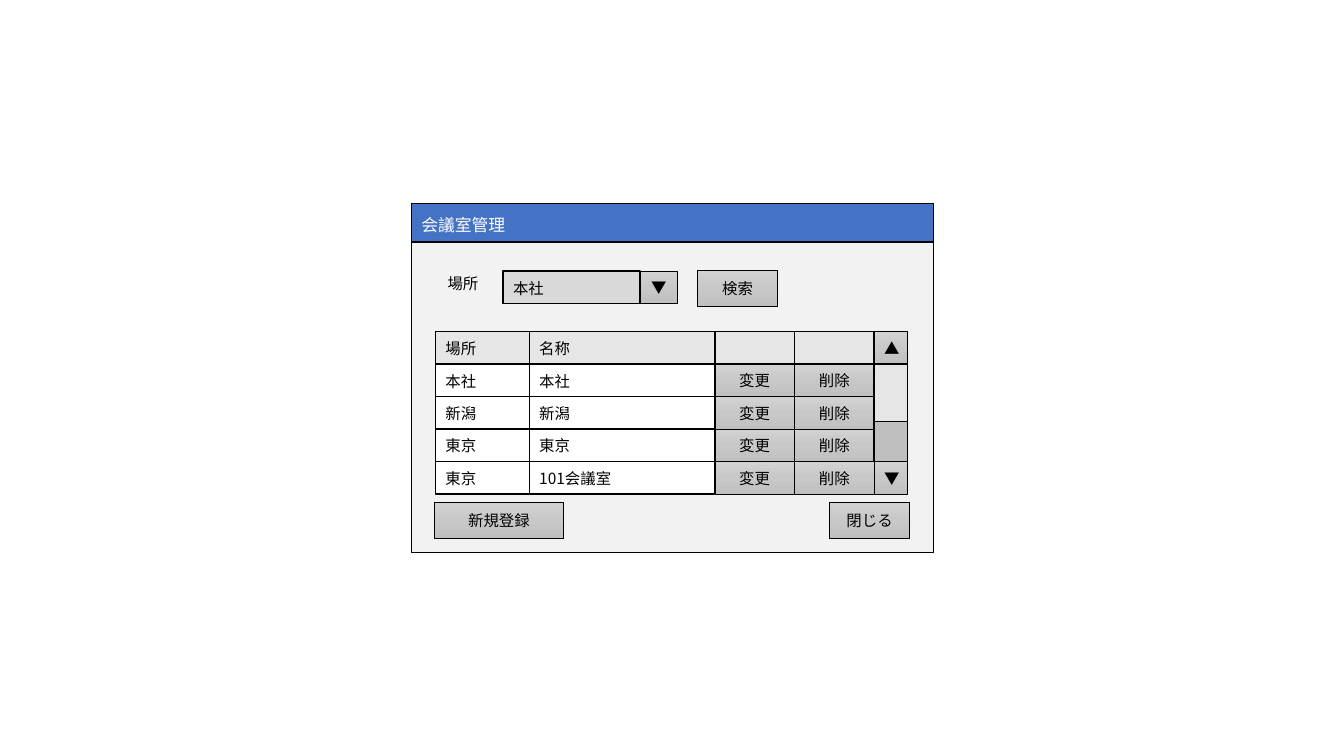
import copy
import dataclasses
import itertools

import pptx
import pptx.dml.color
import pptx.enum.shapes
import pptx.enum.text
import pptx.oxml.ns
import pptx.util

COLS, ROWS = 1333, 750
UNIT = pptx.util.Inches(0.01)
SANS, SERIF = "Noto Sans CJK JP", "TeX Gyre Schola"
BLACK, WHITE, HEAD = "000000", "FFFFFF", "E7E6E6"
SHADES = ((0, "D2D2D2"), (0.5, "C8C8C8"), (1, "C0C0C0"))
KIND = pptx.enum.shapes.MSO_SHAPE
ALIGN = pptx.enum.text.PP_ALIGN
MIDDLE = pptx.enum.text.MSO_ANCHOR.MIDDLE

LIST_TOP, LINE = 329, 32.2
WIDTHS = (93, 184, 79, 79, 33)
EDGES = tuple(itertools.accumulate(WIDTHS, initial=432))
ROOMS = (
    ("場所", "名称", "", ""),
    ("本社", "本社", "変更", "削除"),
    ("新潟", "新潟", "変更", "削除"),
    ("東京", "東京", "変更", "削除"),
    ("東京", "101会議室", "変更", "削除"),
)


@dataclasses.dataclass(frozen=True)
class Box:
    """A part of the window, in columns and rows of the slide grid."""

    col: float
    row: float
    wide: float
    high: float
    text: str = ""
    fill: str = WHITE
    size: int = 11
    ink: str = BLACK
    button: bool = False

    def place(self) -> tuple[int, ...]:
        """Return left, top, width and height as slide lengths."""
        return tuple(round(n * UNIT) for n in (self.col, self.row, self.wide, self.high))


def tint(code: str) -> pptx.dml.color.RGBColor:
    """Turn a hex string into a colour."""
    return pptx.dml.color.RGBColor.from_string(code)


def write(frame, text: str, *, size: int = 11, ink: str = BLACK, font: str = SANS,
          align=ALIGN.LEFT, space: float = 1.07) -> None:
    """Write one formatted line of text into a frame."""
    line = frame.paragraphs[0]
    line.alignment = align
    line.line_spacing = space
    line.space_after = pptx.util.Pt(8)
    run = line.add_run()
    run.text = text
    run.font.size = pptx.util.Pt(size)
    run.font.name = font
    run.font.color.rgb = tint(ink)
    east = run.font._element.makeelement(pptx.oxml.ns.qn("a:ea"), {"typeface": SANS})
    run.font._element.find(pptx.oxml.ns.qn("a:latin")).addnext(east)


def shade(shape) -> None:
    """Fill a button with the three-step grey gradient."""
    shape.fill.gradient()
    shape.fill.gradient_angle = 270
    first = next(shape._element.iter(pptx.oxml.ns.qn("a:gs")))
    first.addnext(copy.deepcopy(first))
    for stop, (pos, code) in zip(shape.fill.gradient_stops, SHADES):
        stop.position = pos
        stop.color.rgb = tint(code)


def draw(slide, box: Box) -> None:
    """Draw one box or button with its text."""
    kind = KIND.FLOWCHART_PROCESS if box.button else KIND.RECTANGLE
    shape = slide.shapes.add_shape(kind, *box.place())
    shape.shadow.inherit = False
    if box.button:
        shade(shape)
    else:
        shape.fill.solid()
        shape.fill.fore_color.rgb = tint(box.fill)
    shape.line.color.rgb = tint(BLACK)
    shape.line.width = pptx.util.Pt(0.5 if box.button else 1)
    shape.text_frame.word_wrap = True
    shape.text_frame.vertical_anchor = MIDDLE
    if box.text:
        write(shape.text_frame, box.text, size=box.size, ink=box.ink,
              align=ALIGN.CENTER if box.button else ALIGN.LEFT,
              space=1.06 if box.button else 1.07)


def cell(col: int, row: int, text: str = "", *, span: float = 1,
         fill: str = WHITE, button: bool = False) -> Box:
    """Make a box that fills a place in the room list."""
    return Box(EDGES[col], LIST_TOP + row * LINE, WIDTHS[col], span * LINE,
               text, fill, button=button)


def rooms() -> list[Box]:
    """Make the cells and buttons of the room list."""
    return [
        cell(col, row, ROOMS[row][col], fill=WHITE if row else HEAD,
             button=row > 0 and col > 1)
        for col in (0, 3, 2, 1)
        for row in (1, 2, 3, 4, 0)
    ]


def main() -> None:
    """Build the meeting room window and save it."""
    deck = pptx.Presentation()
    deck.slide_width, deck.slide_height = COLS * UNIT, ROWS * UNIT
    slide = deck.slides.add_slide(deck.slide_layouts[6])
    window = [
        Box(408, 202, 518, 40, "会議室管理", "4472C4", size=12, ink=WHITE),
        Box(408, 240, 518, 308, fill="F2F2F2"),
        Box(431, 498, 128, 36, "新規登録", button=True),
        Box(823, 498, 79, 36, "閉じる", button=True),
    ]
    search = [
        Box(499, 269, 136, 32, "本社", "D9D9D9"),
        Box(635, 269, 37, 32, "▼", button=True),
        Box(692, 268, 79, 36, "検索", button=True),
    ]
    scroll = [
        cell(4, 4, "▼", button=True),
        cell(4, 1, span=3, fill="BFBFBF"),
        cell(4, 0, "▲", button=True),
        cell(4, 1, span=1.77, fill=HEAD),
    ]
    for box in window + rooms() + search + scroll:
        draw(slide, box)
    label = slide.shapes.add_textbox(*Box(434, 266, 51, 36).place())
    label.text_frame.word_wrap = False
    write(label.text_frame, "場所", font=SERIF)
    deck.save("out.pptx")


if __name__ == "__main__":
    main()
